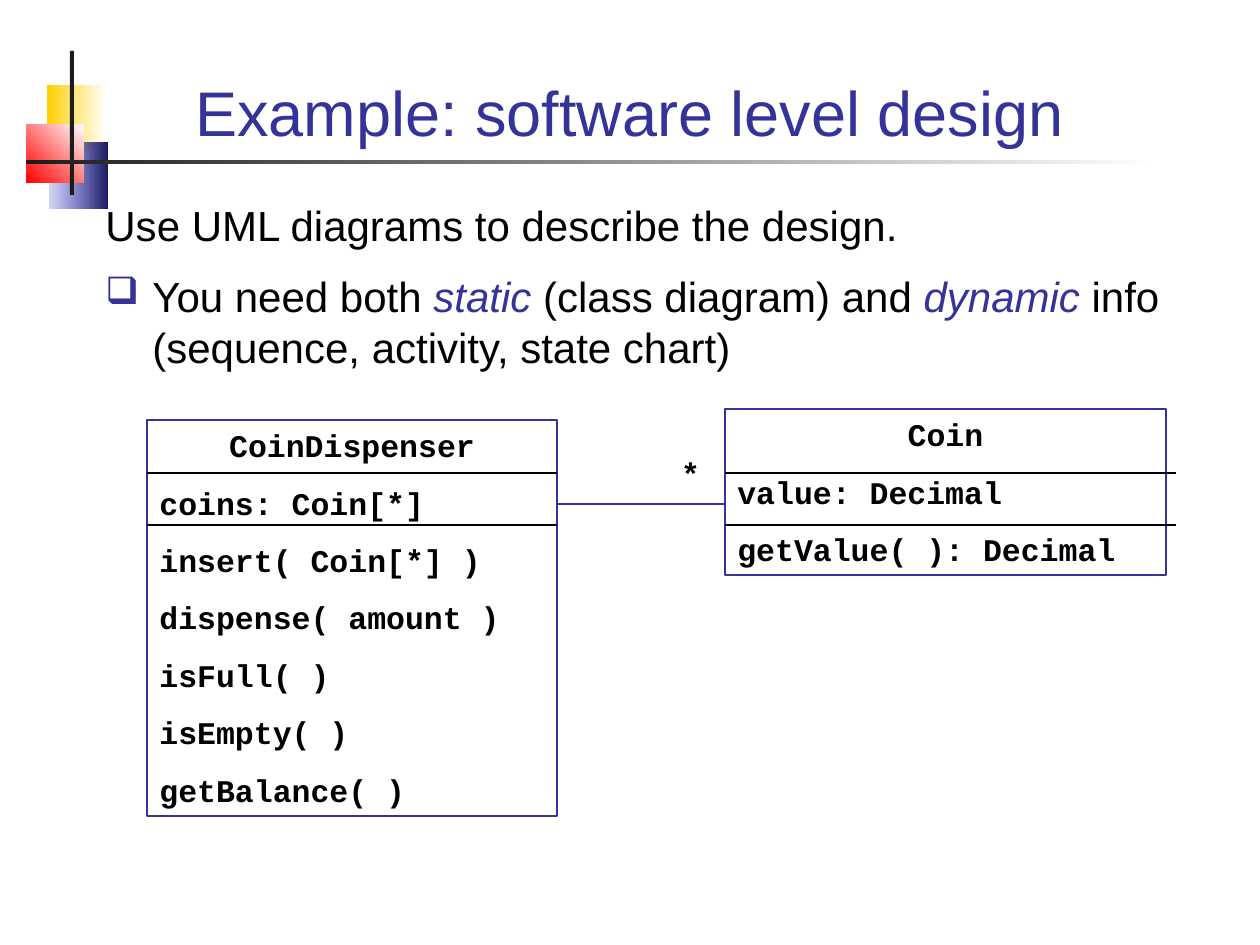
import pptx
import pptx.util
import pptx.dml.color
import pptx.enum.shapes
import pptx.enum.text
import pptx.oxml.ns
import lxml.etree

RGBColor = pptx.dml.color.RGBColor
WHITE = RGBColor(0xFF, 0xFF, 0xFF)
BLACK = RGBColor(0, 0, 0)
CHARCOAL = RGBColor(0x1C, 0x1C, 0x1C)
INDIGO = RGBColor(0x33, 0x33, 0x99)
NAVY = RGBColor(0x17, 0x17, 0x5E)
BLUE = RGBColor(0x33, 0x33, 0xCC)
YELLOW = RGBColor(0xFF, 0xCF, 0x01)
RED = RGBColor(0xFF, 0, 0)

SCALE = 914400 / 126
RECTANGLE = pptx.enum.shapes.MSO_SHAPE.RECTANGLE
STRAIGHT = pptx.enum.shapes.MSO_CONNECTOR.STRAIGHT
ALIGN = pptx.enum.text.PP_ALIGN
ANCHOR = pptx.enum.text.MSO_ANCHOR
FIT = pptx.enum.text.MSO_AUTO_SIZE.SHAPE_TO_FIT_TEXT
qn = pptx.oxml.ns.qn
Pt = pptx.util.Pt


def emu(*pixels):
    return [pptx.util.Emu(round(value * SCALE)) for value in pixels]


def write(shape, lines, font, gap, frame_format):
    frame = shape.text_frame
    for name, value in {"word_wrap": True, **frame_format}.items():
        setattr(frame, name, value)
    for index, (alignment, runs) in enumerate(lines):
        paragraph = frame.paragraphs[0] if index == 0 else frame.add_paragraph()
        paragraph.alignment = alignment
        paragraph.space_before = Pt(gap if index else 0)
        for text, color in runs:
            run = paragraph.add_run()
            run.text = text
            for name, value in font.items():
                setattr(run.font, name, value)
            run.font.color.rgb = color


presentation = pptx.Presentation()
presentation.slide_width, presentation.slide_height = emu(1260, 945)
slide = presentation.slides.add_slide(presentation.slide_layouts[6])
shapes = slide.shapes

ornaments = [
    ((47, 85, 59, 65), WHITE, YELLOW, 180),
    ((49, 143, 58, 66), NAVY, BLUE, 180),
    ((27, 124, 57, 59), WHITE, RED, 225),
    ((70, 51, 4, 144), CHARCOAL, None, 0),
    ((26, 160, 1133, 4), WHITE, CHARCOAL, 180),
]
for box, start, end, angle in ornaments:
    shape = shapes.add_shape(RECTANGLE, *emu(*box))
    shape.shadow.inherit = False
    shape.line.fill.background()
    if end is None:
        shape.fill.solid()
        shape.fill.fore_color.rgb = start
        continue
    shape.fill.gradient()
    shape.fill.gradient_angle = angle
    for stop, color in zip(shape.fill.gradient_stops, (start, end)):
        stop.color.rgb = color
    if end == BLUE:
        stop_color = list(shape._element.spPr.iter(qn("a:srgbClr")))[-1]
        lxml.etree.SubElement(stop_color, qn("a:alpha"), val="20000")

title = shapes.add_textbox(*emu(84, 35, 1091, 120))
write(title, [(ALIGN.CENTER, [("Example: software level design", INDIGO)])],
      {"name": "Arial", "size": Pt(36)}, 0, {"vertical_anchor": ANCHOR.BOTTOM})

body = shapes.add_textbox(*emu(93, 193, 1091, 207))
body_lines = [
    (ALIGN.LEFT, [("Use UML diagrams to describe the design.", BLACK)]),
    (ALIGN.LEFT, [("You need both ", BLACK), ("static", INDIGO),
                  (" (class diagram) and ", BLACK), ("dynamic", INDIGO),
                  (" info (sequence, activity, state chart)", BLACK)]),
]
write(body, body_lines, {"name": "Arial", "size": Pt(24)}, 12, {})
bullet_paragraph = body.text_frame.paragraphs[1]
for run in bullet_paragraph.runs:
    run.font.italic = run.font.color.rgb == INDIGO
properties = bullet_paragraph._p.get_or_add_pPr()
indent = emu(47)[0]
properties.set("marL", str(indent))
properties.set("indent", str(-indent))
bullet_color = lxml.etree.SubElement(properties, qn("a:buClr"))
lxml.etree.SubElement(bullet_color, qn("a:srgbClr"), val=str(INDIGO))
lxml.etree.SubElement(properties, qn("a:buSzPct"), val="90000")
lxml.etree.SubElement(properties, qn("a:buChar"), char="❑")

classes = [
    ((147, 420, 410, 396), ["CoinDispenser", "coins: Coin[*]", "insert( Coin[*] )",
                            "dispense( amount )", "isFull( )", "isEmpty( )",
                            "getBalance( )"]),
    ((725, 409, 441, 166), ["Coin", "value: Decimal", "getValue( ): Decimal"]),
]
for box, members in classes:
    shape = shapes.add_shape(RECTANGLE, *emu(*box))
    shape.shadow.inherit = False
    shape.fill.background()
    shape.line.color.rgb = INDIGO
    shape.line.width = Pt(0.75)
    lines = [(ALIGN.LEFT if index else ALIGN.CENTER, [(member, BLACK)])
             for index, member in enumerate(members)]
    write(shape, lines, {"name": "Courier New", "size": Pt(18), "bold": True}, 11.2,
          {"vertical_anchor": ANCHOR.TOP, "auto_size": FIT})

connectors = [(left, right, y, BLACK, 0.75)
              for left, right in ((147, 557), (725, 1176)) for y in (473, 525)]
connectors.append((557, 725, 504, INDIGO, 1))
for left, right, y, color, width in connectors:
    connector = shapes.add_connector(STRAIGHT, *emu(left, y, right, y))
    connector.line.color.rgb = color
    connector.line.width = Pt(width)
    lxml.etree.SubElement(connector._element.spPr, qn("a:effectLst"))

multiplicity = shapes.add_textbox(*emu(672, 447, 63, 50))
write(multiplicity, [(ALIGN.LEFT, [("*", BLACK)])],
      {"name": "Arial", "size": Pt(18), "bold": True}, 0, {"auto_size": FIT})

presentation.save("out.pptx")
